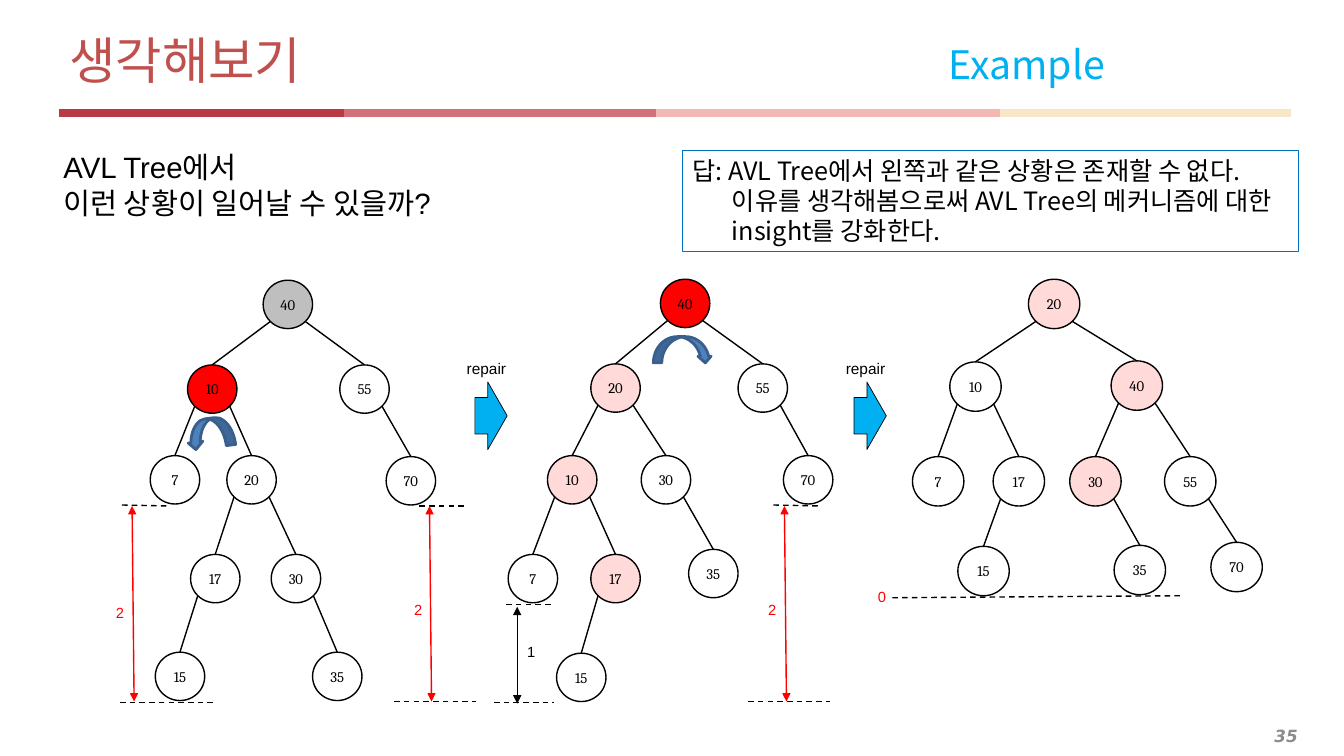
from math import sqrt

from lxml import etree
from pptx import Presentation
from pptx.dml.color import RGBColor
from pptx.enum.dml import MSO_LINE
from pptx.enum.shapes import MSO_CONNECTOR, MSO_SHAPE
from pptx.enum.text import MSO_ANCHOR, PP_ALIGN
from pptx.oxml.ns import qn
from pptx.util import Pt

PX = 9144  # 100 px to the inch
STRAIGHT = MSO_CONNECTOR.STRAIGHT
DASH = MSO_LINE.DASH
OVAL, RECTANGLE = MSO_SHAPE.OVAL, MSO_SHAPE.RECTANGLE
RIGHT_ARROW, CURVED_ARROW = MSO_SHAPE.RIGHT_ARROW, MSO_SHAPE.CURVED_RIGHT_ARROW
TOP, MIDDLE = MSO_ANCHOR.TOP, MSO_ANCHOR.MIDDLE
LEFT, CENTER, RIGHT = PP_ALIGN.LEFT, PP_ALIGN.CENTER, PP_ALIGN.RIGHT

BLACK = RGBColor(0x00, 0x00, 0x00)
RED = RGBColor(0xFF, 0x00, 0x00)
PINK = RGBColor(0xFF, 0xDA, 0xD9)
GRAY = RGBColor(0xBF, 0xBF, 0xBF)
PAGE_GRAY = RGBColor(0x8C, 0x8C, 0x8C)
TITLE_RED = RGBColor(0xC0, 0x50, 0x4D)
SKY = RGBColor(0x00, 0xB0, 0xF0)
FRAME_BLUE = RGBColor(0x00, 0x70, 0xC0)
TURN_BLUE = RGBColor(0x4F, 0x81, 0xBD)
TURN_EDGE = RGBColor(0x3A, 0x5F, 0x8C)
KOREAN = "Noto Sans CJK KR"

# Content
TITLE, SUBTITLE = "생각해보기", "Example"
QUESTION = ["AVL Tree에서", "이런 상황이 일어날 수 있을까?"]
ANSWER = ["답: AVL Tree에서 왼쪽과 같은 상황은 존재할 수 없다.",
          "이유를 생각해봄으로써 AVL Tree의 메커니즘에 대한 insight를 강화한다."]
PAGE_NUMBER = "35"

# Title rule: from x, to x, colour
RULE_Y = 112
RULE = [(310, 651, RGBColor(0xD3, 0x70, 0x79)),
        (651, 992, RGBColor(0xF2, 0xB8, 0xB4)),
        (992, 1280, RGBColor(0xF8, 0xE6, 0xC7)),
        (59, 341, RGBColor(0xB9, 0x39, 0x45))]

# Trees: node width and height, then value, parent, left, top, fill
TREES = [
    (49, 48, [(40, None, 261, 278, GRAY), (10, 40, 186, 362, RED),
              (55, 40, 337, 362, None), (7, 10, 149, 452, None),
              (20, 10, 225, 452, None), (70, 55, 383, 453, None),
              (17, 20, 189, 550, None), (30, 20, 269, 550, None),
              (15, 17, 154, 647, None), (35, 30, 310, 647, None)]),
    (49, 48, [(40, None, 655, 277, RED), (20, 40, 586, 361, PINK),
              (55, 40, 732, 361, None), (10, 20, 543, 452, PINK),
              (30, 20, 636, 452, None), (70, 55, 777, 452, None),
              (7, 10, 504, 550, None), (17, 10, 586, 550, PINK),
              (35, 30, 683, 545, None), (15, 17, 552, 648, None)]),
    (51, 49, [(20, None, 1020, 277, PINK), (10, 20, 942, 359, None),
              (40, 20, 1102, 358, PINK), (7, 10, 905, 453, None),
              (17, 10, 985, 453, None), (30, 40, 1061, 453, PINK),
              (55, 40, 1155, 453, None), (15, 17, 950, 542, None),
              (35, 30, 1105, 541, None), (70, 55, 1201, 538, None)]),
]

# Height marks: from x, y, to x, y
LEVELS = [(119, 697, 211, 697), (121, 501, 167, 502), (391, 696, 472, 696),
          (416, 502, 463, 502), (490, 697, 549, 697), (502, 600, 549, 600),
          (742, 696, 823, 696), (767, 501, 814, 502), (885, 593, 1174, 591)]
SPANS = [(131, 502, 133, 696, RED), (426, 502, 428, 696, RED),
         (513, 602, 513, 698, BLACK), (778, 502, 780, 696, RED)]
DIFFERENCES = [("2", 105, 594, RED), ("2", 401, 591, RED), ("1", 513, 633, BLACK),
               ("2", 752, 591, RED), ("0", 861, 578, RED)]
REPAIRS = [471, 847]
# Rotations: left, top, width, height, angle, mirrored, thickness
TURNS = [(194, 406, 29, 47, 82.6, False, 0.32),
         (664, 318, 26, 58, 270, True, 0.32)]

deck = Presentation()
deck.slide_width, deck.slide_height = 1333 * PX, 750 * PX
page = deck.slides.add_slide(deck.slide_layouts[6])


def add_span(para, text, size, font, color, bold=False, italic=False):
    span = para.add_run()
    span.text = text
    span.font.size, span.font.name = Pt(size), font
    span.font.bold, span.font.italic = bold, italic
    span.font.color.rgb = color
    east = etree.SubElement(span.font._element, qn("a:ea"))
    east.set("typeface", KOREAN)


def write(box, lines, size=10.5, font="Arial", color=BLACK, align=LEFT, anchor=TOP,
          spacing=None, **style):
    frame = box.text_frame
    frame.word_wrap = True
    frame.vertical_anchor = anchor
    for index, line in enumerate(lines):
        para = frame.paragraphs[0] if index == 0 else frame.add_paragraph()
        para.alignment = align
        if spacing:
            para.line_spacing = Pt(spacing)
        add_span(para, line, size, font, color, **style)
    return frame


def add_text(left, top, width, height, lines, **style):
    box = page.shapes.add_textbox(left * PX, top * PX, width * PX, height * PX)
    return write(box, lines, **style)


def add_figure(kind, left, top, width, height, fill=None, line=BLACK, weight=1):
    figure = page.shapes.add_shape(kind, left * PX, top * PX, width * PX, height * PX)
    figure.shadow.inherit = False
    if fill is None:
        figure.fill.background()
    else:
        figure.fill.solid()
        figure.fill.fore_color.rgb = fill
    figure.line.color.rgb = line
    figure.line.width = Pt(weight)
    return figure


def add_line(x1, y1, x2, y2, color=BLACK, weight=1, dash=None, arrows=False):
    ends = [round(value * PX) for value in (x1, y1, x2, y2)]
    line = page.shapes.add_connector(STRAIGHT, *ends)
    line.line.color.rgb = color
    line.line.width = Pt(weight)
    if dash:
        line.line.dash_style = dash
    if arrows:
        for end in ("a:headEnd", "a:tailEnd"):
            etree.SubElement(line.line._get_or_add_ln(), qn(end)).set("type", "triangle")
    etree.SubElement(line._element.spPr, qn("a:effectLst"))


# Title, rule and page number
title = add_text(59, 25, 1221, 68, [TITLE + "\t"], size=36, font=KOREAN,
                 color=TITLE_RED, anchor=MIDDLE).paragraphs[0]
tabs = etree.SubElement(title._p.get_or_add_pPr(), qn("a:tabLst"))
etree.SubElement(tabs, qn("a:tab"), pos=str(872 * PX), algn="l")
add_span(title, SUBTITLE, 28, KOREAN, SKY)
for start, end, color in RULE:
    add_line(start, RULE_Y, end, RULE_Y, color, weight=6)
add_text(20, 714, 1277, 31, [PAGE_NUMBER], size=12, font="DejaVu Sans", color=PAGE_GRAY,
         align=RIGHT, anchor=MIDDLE, bold=True, italic=True)

# Question and answer
add_text(53, 142, 423, 81, QUESTION, size=21, spacing=25.7)
answer_box = add_figure(RECTANGLE, 677, 149, 611, 101, line=FRAME_BLUE, weight=0.75)
answer = write(answer_box, ANSWER, size=18, font=KOREAN, spacing=21.5)
answer.margin_right = 20 * PX
indent = answer.paragraphs[1]._p.get_or_add_pPr()
indent.set("marL", str(39 * PX))
indent.set("indent", "0")

# Trees: each edge runs from the parent's lower diagonal to the child's top
for width, height, nodes in TREES:
    places = {value: (left, top) for value, _, left, top, _ in nodes}
    for value, parent, left, top, fill in nodes:
        node = add_figure(OVAL, left, top, width, height, fill)
        frame = write(node, [str(value)], font="Cambria", align=CENTER, anchor=MIDDLE)
        frame.margin_left = frame.margin_right = 0
        if parent is not None:
            parent_left, parent_top = places[parent]
            side = -1 if left < parent_left else 1
            add_line(parent_left + width / 2 * (1 + side / sqrt(2)),
                     parent_top + height / 2 * (1 + 1 / sqrt(2)),
                     left + width / 2, top)

# Height marks
for level in LEVELS:
    add_line(*level, dash=DASH)
for *ends, color in SPANS:
    add_line(*ends, color, arrows=True)
for text, left, top, color in DIFFERENCES:
    add_text(left, top, 33, 34, [text], color=color)

# Repair steps and rotations
for left in REPAIRS:
    arrow = add_figure(RIGHT_ARROW, left, 379, 32, 67, SKY, weight=0.5)
    arrow.adjustments[0], arrow.adjustments[1] = 0.54, 0.6
    add_text(left - 18, 351, 75, 35, ["repair"], size=11)
for left, top, width, height, angle, mirrored, thickness in TURNS:
    turn = add_figure(CURVED_ARROW, left, top, width, height, TURN_BLUE, TURN_EDGE, 2)
    turn.adjustments[0] = thickness
    turn.rotation = angle
    if mirrored:
        turn._element.spPr.xfrm.set("flipH", "1")

deck.save("out.pptx")
